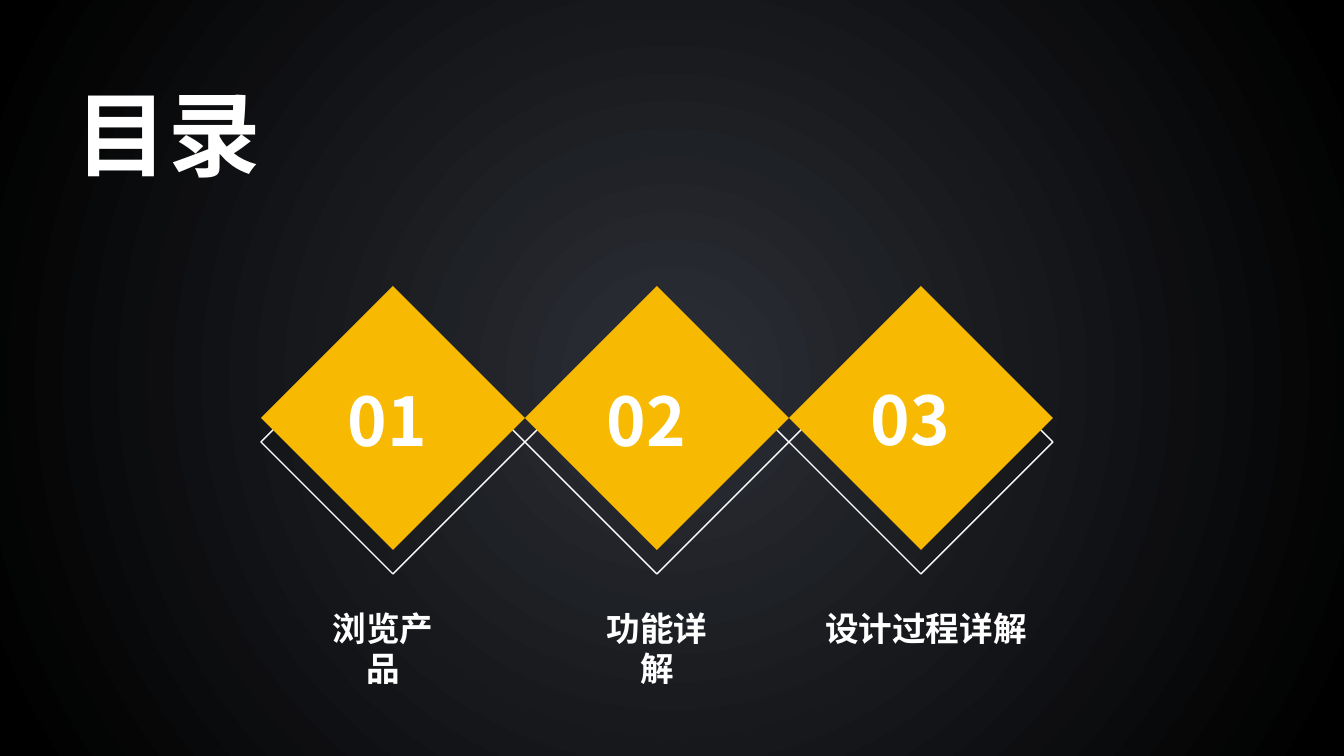
from lxml import etree
from pptx import Presentation
from pptx.dml.color import RGBColor
from pptx.enum.shapes import MSO_SHAPE
from pptx.enum.text import MSO_AUTO_SIZE, PP_ALIGN
from pptx.oxml import parse_xml
from pptx.oxml.ns import nsdecls, qn
from pptx.util import Pt

# Content: number, number left and top, label, label left and width
TITLE = "目录"
ITEMS = [
    ("01", 338, 374, "浏览产品", 306, 154),
    ("02", 597, 374, "功能详解", 580, 154),
    ("03", 861, 373, "设计过程详解", 815, 222),
]
STOPS = [(0, "262626"), (0, "595959"), (0, "2C2F36"), (97, "000000")]

# Look
WHITE = RGBColor(0xFF, 0xFF, 0xFF)
GOLD = RGBColor(0xF7, 0xB9, 0x02)
DIAMOND = MSO_SHAPE.DIAMOND
GROW = MSO_AUTO_SIZE.SHAPE_TO_FIT_TEXT
LEFT, CENTER = PP_ALIGN.LEFT, PP_ALIGN.CENTER
FONT, HEAD = "Noto Sans CJK SC", "Noto Sans CJK JP"

# Layout in px
WIDE, HIGH = 1344, 756
SIDE, START = 264, 261
TOP, DROP = 286, 24
LABEL_TOP = 603


def px(*vals):
    return [round(v * 914400 / 100.8) for v in vals]


def add_diamond(slide, left, top, fill=None):
    shape = slide.shapes.add_shape(DIAMOND, *px(left, top, SIDE, SIDE))
    shape.shadow.inherit = False
    if fill:
        shape.fill.solid()
        shape.fill.fore_color.rgb = fill
        shape.line.fill.background()
    else:
        shape.fill.background()
        shape.line.color.rgb = WHITE
        shape.line.width = Pt(1)


def add_text(slide, text, box, size, face=FONT, align=LEFT, wrap=True):
    frame = slide.shapes.add_textbox(*px(*box)).text_frame
    frame.word_wrap = wrap
    frame.auto_size = GROW
    para = frame.paragraphs[0]
    para.alignment = align
    run = para.add_run()
    run.text = text
    style = {"name": face, "size": Pt(size), "bold": True}
    for key, val in style.items():
        setattr(run.font, key, val)
    run.font.color.rgb = WHITE
    props = run._r.get_or_add_rPr()
    etree.SubElement(props, qn("a:ea")).set("typeface", face)


def set_back(slide):
    slide.background.fill.gradient()
    old = slide.element.find(".//" + qn("a:gradFill"))
    stops = "".join(
        f'<a:gs pos="{pos * 1000}"><a:srgbClr val="{tone}"/></a:gs>'
        for pos, tone in STOPS
    )
    new = parse_xml(
        f'<a:gradFill {nsdecls("a")} rotWithShape="1"><a:gsLst>{stops}</a:gsLst>'
        '<a:path path="circle"><a:fillToRect l="50000" t="50000" r="50000"'
        ' b="50000"/></a:path></a:gradFill>'
    )
    old.getparent().replace(old, new)


def main():
    deck = Presentation()
    deck.slide_width, deck.slide_height = px(WIDE, HIGH)
    slide = deck.slides.add_slide(deck.slide_layouts[6])
    set_back(slide)

    # Outlines behind, gold diamonds in front
    for top, fill in [(TOP + DROP, None), (TOP, GOLD)]:
        for i in range(len(ITEMS)):
            add_diamond(slide, START + i * SIDE, top, fill)

    # Numbers and labels
    for num, left, top, label, edge, width in ITEMS:
        add_text(slide, num, (left, top, 111, 92), 48)
        add_text(slide, label, (edge, LABEL_TOP, width, 50), 24,
                 align=CENTER, wrap=False)

    # Title
    add_text(slide, TITLE, (66, 72, 241, 122), 66, HEAD)
    deck.save("out.pptx")


if __name__ == "__main__":
    main()
